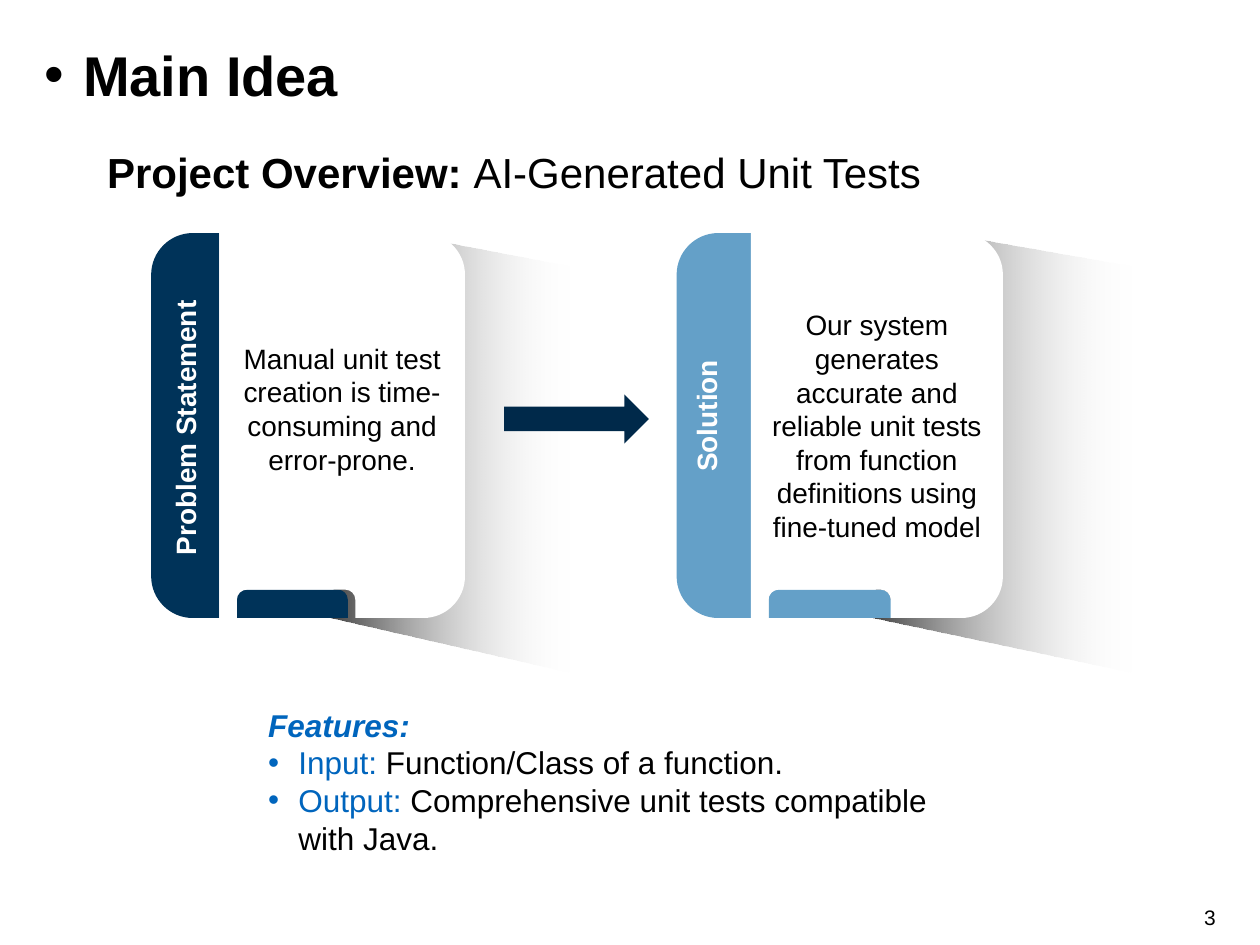
"""Build the main idea slide: a problem card, a solution card and features."""
from dataclasses import dataclass

from lxml import etree
from pptx import Presentation
from pptx import util as u
from pptx.dml.color import RGBColor
from pptx.enum import shapes, text
from pptx.oxml import ns


@dataclass(frozen=True)
class Theme:
    """Colours, font and type sizes of the slide."""
    font: str = "Arial"
    ink: str = "000000"
    paper: str = "FFFFFF"
    navy: str = "003359"
    arrow: str = "00294A"
    sky: str = "64A0C8"
    accent: str = "0065BD"
    fade: str = "F2F2F2"
    title: int = 32
    subtitle: int = 24
    features: int = 18
    card: int = 16
    number: int = 12


class SlideBuilder:
    """Draws styled elements on a grid of 100 columns by 75 rows."""

    COLUMNS = 100
    TOP, BOTTOM, TAB_TOP = 18.5, 49.05, 46.8
    CORNER, TAB_CORNER, ROUNDNESS = 3.3, 0.8, 0.55

    def __init__(self, deck, theme):
        """Add a title-only slide to the deck."""
        self.theme = theme
        self.unit = deck.slide_width / self.COLUMNS
        self.slide = deck.slides.add_slide(deck.slide_layouts[5])

    def grid(self, *cells):
        """Turn grid positions into lengths."""
        return [u.Emu(round(cell * self.unit)) for cell in cells]

    def run(self, paragraph, words, size, color=None, bold=False, italic=False):
        """Add one styled run to a paragraph."""
        run = paragraph.add_run()
        run.text = words
        font = run.font
        font.name, font.size = self.theme.font, u.Pt(size)
        font.bold, font.italic = bold, italic
        font.color.rgb = RGBColor.from_string(color or self.theme.ink)

    def bullet(self, paragraph, indent):
        """Give a paragraph a hanging bullet."""
        hang = self.grid(indent)[0]
        props = paragraph._p.get_or_add_pPr()
        props.set("marL", str(hang))
        props.set("indent", str(-hang))
        etree.SubElement(props, ns.qn("a:buFont")).set("typeface", self.theme.font)
        etree.SubElement(props, ns.qn("a:buChar")).set("char", "•")

    def frame(self, holder, insets=(1, 0.5, 1, 0.5), anchor=text.MSO_ANCHOR.TOP):
        """Prepare the text frame of a shape and return it."""
        frame = holder.text_frame
        frame.word_wrap = True
        frame.auto_size = text.MSO_AUTO_SIZE.NONE
        frame.vertical_anchor = anchor
        (frame.margin_left, frame.margin_top,
         frame.margin_right, frame.margin_bottom) = self.grid(*insets)
        return frame

    def title(self, words, box):
        """Fill and place the title placeholder."""
        title = self.slide.shapes.title
        title.left, title.top, title.width, title.height = self.grid(*box)
        heading = self.frame(title, (0, 0, 0, 0)).paragraphs[0]
        self.bullet(heading, 3.1)
        heading.alignment = text.PP_ALIGN.LEFT
        heading.line_spacing = u.Pt(32)
        self.run(heading, words, self.theme.title, bold=True)

    def textbox(self, box, paragraphs, size, align=text.PP_ALIGN.LEFT,
                spacing=1.0, rotation=0, bullets_from=None, **layout):
        """Add a text box whose paragraphs are lists of run styles."""
        holder = self.slide.shapes.add_textbox(*self.grid(*box))
        holder.rotation = rotation
        frame = self.frame(holder, **layout)
        for index, runs in enumerate(paragraphs):
            paragraph = frame.paragraphs[0] if index == 0 else frame.add_paragraph()
            if bullets_from is not None and index >= bullets_from:
                self.bullet(paragraph, 2.4)
            paragraph.alignment = align
            paragraph.line_spacing = spacing
            for words, style in runs:
                self.run(paragraph, words, size, **style)

    def paint(self, shape, color):
        """Fill a shape plainly, without outline or shadow."""
        shape.shadow.inherit = False
        shape.line.fill.background()
        shape.fill.solid()
        shape.fill.fore_color.rgb = RGBColor.from_string(color)

    def outline(self, corners, color):
        """Draw a closed outline from (column, row, radius) corners."""
        points, bends = [], {}
        for index, (x, y, radius) in enumerate(corners):
            if not radius:
                points.append((x, y))
                continue
            for near in (corners[index - 1], corners[(index + 1) % len(corners)]):
                dx, dy = near[0] - x, near[1] - y
                reach = radius / max(abs(dx), abs(dy))
                points.append((x + dx * reach, y + dy * reach))
            bends[len(points) - 1] = (x, y)
        start, *rest = [self.grid(*point) for point in points]
        pen = self.slide.shapes.build_freeform(*start, scale=1.0)
        pen.add_line_segments(rest, close=True)
        shape = pen.convert_to_shape()
        self.paint(shape, color)
        moves = list(next(shape.element.iter(ns.qn("a:path"))))
        for index, corner in bends.items():
            self.bend(shape, moves[index], points[index - 1], corner, points[index])
        return shape

    def bend(self, shape, move, start, corner, end):
        """Turn a straight cut across a corner into a curve."""
        move.tag = ns.qn("a:cubicBezTo")
        for order, near in enumerate((start, end)):
            x, y = self.grid(*(n + (c - n) * self.ROUNDNESS
                               for n, c in zip(near, corner)))
            handle = etree.Element(ns.qn("a:pt"))
            handle.set("x", str(x - shape.left))
            handle.set("y", str(y - shape.top))
            move.insert(order, handle)

    def cast_shadow(self, top_x, foot_x, far_x):
        """Draw the slanted shadow that fades out to the right."""
        corners = [(top_x, self.TOP, 0), (far_x, 21.1, 0),
                   (far_x, 53.4, 0), (foot_x, 49, 0)]
        shadow = self.outline(corners, self.theme.ink)
        shadow.fill.gradient()
        shadow.fill.gradient_angle = 0
        tones = (self.theme.ink, 75), (self.theme.fade, 0)
        for stop, (color, _) in zip(shadow.fill.gradient_stops, tones):
            stop.color.rgb = RGBColor.from_string(color)
        for tone, (_, opacity) in zip(shadow.element.iter(ns.qn("a:srgbClr")), tones):
            etree.SubElement(tone, ns.qn("a:alpha")).set("val", str(opacity * 1000))

    def card(self, left, fold, right, tab, notch, shadow, color, words, lift=0):
        """Draw a card: shadow, coloured spine and tab, white panel with text."""
        top, bottom, tab_top = self.TOP, self.BOTTOM, self.TAB_TOP
        big, small = self.CORNER, self.TAB_CORNER
        self.cast_shadow(*shadow)
        self.outline([(left, top, big), (fold, top, 0),
                      (fold, bottom, 0), (left, bottom, big)], color)
        self.outline([(tab[0], tab_top, small), (tab[1], tab_top, small),
                      (tab[1], bottom, 0), (tab[0], bottom, 0)], color)
        panel = self.outline(
            [(fold, top, 0), (right, top, big), (right, bottom, big),
             (notch[1], bottom, 0), (notch[1], tab_top, small),
             (notch[0], tab_top, small), (notch[0], bottom, 0),
             (fold, bottom, 0)], self.theme.paper)
        frame = self.frame(panel, (1, 0.5, 1, 0.5 + lift), text.MSO_ANCHOR.MIDDLE)
        body = frame.paragraphs[0]
        body.alignment = text.PP_ALIGN.CENTER
        self.run(body, words, self.theme.card)

    def spine_label(self, words, box):
        """Write a label that reads upwards along a spine."""
        style = dict(color=self.theme.paper, bold=True)
        self.textbox(box, [[(words, style)]], self.theme.card,
                     align=text.PP_ALIGN.CENTER, rotation=270)

    def arrow(self, box):
        """Draw the block arrow between the cards."""
        arrow = self.slide.shapes.add_shape(
            shapes.MSO_SHAPE.RIGHT_ARROW, *self.grid(*box))
        self.paint(arrow, self.theme.arrow)


def main():
    """Compose the slide and save it."""
    deck = Presentation()
    deck.slide_width, deck.slide_height = u.Inches(10), u.Inches(7.5)
    theme = Theme()
    page = SlideBuilder(deck, theme)
    page.title("Main Idea", (3.5, 4.1, 93.1, 4.5))
    page.textbox((74.1, 70.8, 22.4, 4), [[("3", {})]], theme.number,
                 align=text.PP_ALIGN.RIGHT, insets=(0, 0.5, 0, 0.5),
                 anchor=text.MSO_ANCHOR.MIDDLE)
    page.textbox((8.5, 11.2, 93.1, 4.1),
                 [[("Project Overview: ", dict(bold=True)),
                   ("AI-Generated Unit Tests", {})]],
                 theme.subtitle, spacing=u.Pt(32), insets=(0, 0, 0, 0))
    page.card(12, 17.4, 36.9, (18.7, 27.6), (18.8, 28.2), (31.7, 26.1, 45.3),
              theme.navy,
              "Manual unit test creation is time-consuming and error-prone.", lift=2.7)
    page.card(53.7, 59.6, 79.6, (61, 70.7), (61, 70.7), (75.1, 69.1, 89.9),
              theme.sky,
              "Our system generates accurate and reliable unit tests "
              "from function definitions using fine-tuned model")
    page.spine_label("Solution", (44.5, 30.5, 24.4, 5))
    page.spine_label("Problem Statement", (3.4, 32.1, 22.6, 3.7))
    page.arrow((40, 31.3, 11.5, 3.9))
    accent = dict(color=theme.accent)
    page.textbox((20.3, 55.5, 59.3, 13.1),
                 [[("Features:", dict(accent, bold=True, italic=True))],
                  [("Input: ", accent), ("Function/Class of a function.", {})],
                  [("Output: ", accent),
                   ("Comprehensive unit tests compatible with Java.", {})]],
                 theme.features, bullets_from=1)
    deck.save("out.pptx")


if __name__ == "__main__":
    main()
